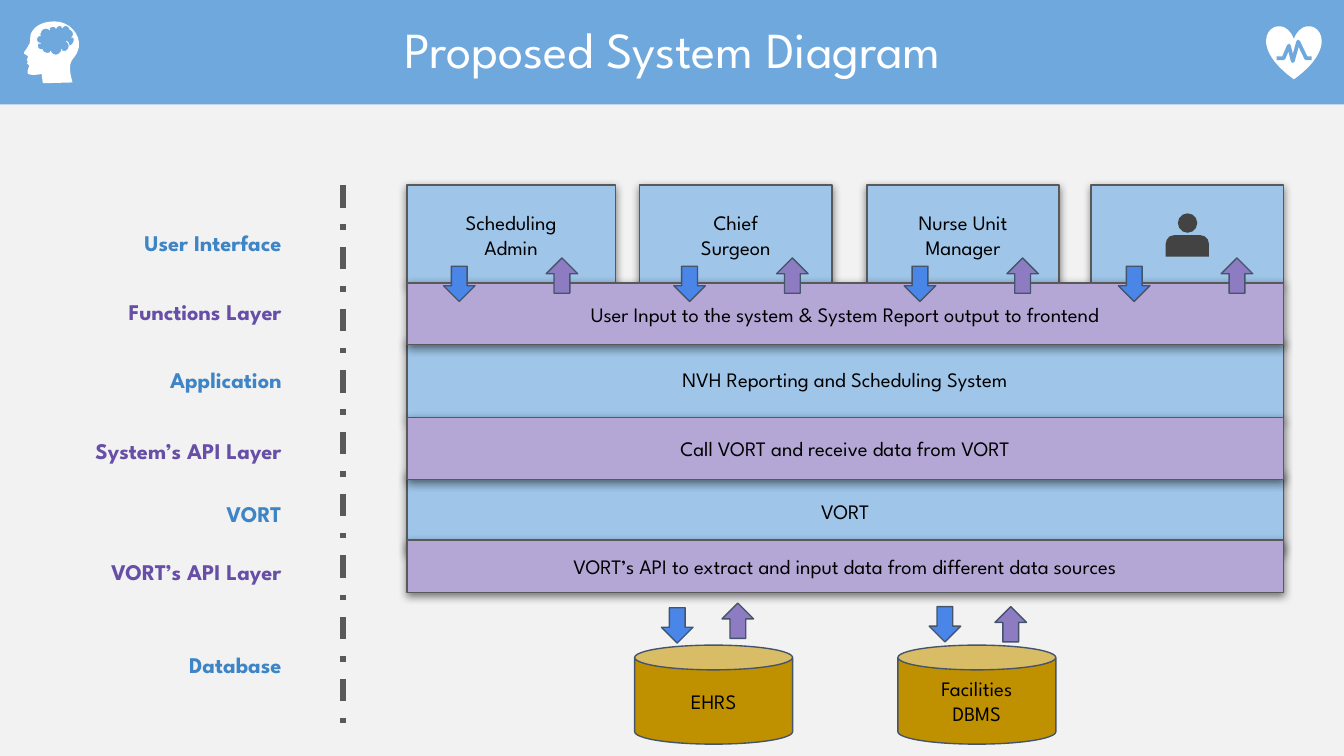
from dataclasses import dataclass

from lxml import etree
from pptx import Presentation
from pptx.dml.color import RGBColor
from pptx.enum import dml, shapes, text
from pptx.oxml import ns
from pptx.util import Pt

SHAPE = shapes.MSO_SHAPE


@dataclass(frozen=True)
class Theme:
    font: str = "League Spartan"
    title_size: float = 27
    label_size: float = 12
    body_size: float = 11
    background: str = "F2F2F2"
    header: str = "6FA8DC"
    white: str = "FFFFFF"
    black: str = "000000"
    blue_label: str = "3D85C6"
    purple_label: str = "674EA7"
    blue_box: str = "9FC5E8"
    purple_box: str = "B4A7D6"
    border: str = "595959"
    slate: str = "44546A"
    down: str = "4A86E8"
    up: str = "8E7CC3"
    store: str = "BF9000"
    person: str = "434343"


THEME = Theme()
STACK_LEFT, STACK_WIDTH = 218, 469.6
BOX_TOP, BOX_HEIGHT = 99.2, 53.3

# Label, colour, vertical centre
LABELS = [
    ("User Interface", THEME.blue_label, 128.9),
    ("Functions Layer", THEME.purple_label, 165.6),
    ("Application", THEME.blue_label, 202.3),
    ("System’s API Layer", THEME.purple_label, 240.5),
    ("VORT", THEME.blue_label, 274.3),
    ("VORT’s API Layer", THEME.purple_label, 305.3),
    ("Database", THEME.blue_label, 355),
]
# Left, width, lines
USERS = [
    (STACK_LEFT, 111.6, ["Scheduling", "Admin"]),
    (342.7, 103, ["Chief", "Surgeon"]),
    (464.4, 103, ["Nurse Unit Manager"]),
    (584.6, 103, []),
]
# Text, colour, top, height; the purple layers overlap the blue ones
BANDS = [
    ("NVH Reporting and Scheduling System", THEME.blue_box, 181.4, 43.2),
    ("VORT", THEME.blue_box, 252.5, 43.2),
    ("User Input to the system & System Report output to frontend",
     THEME.purple_box, 151.6, 33.1),
    ("Call VORT and receive data from VORT", THEME.purple_box, 223.7, 33.1),
    ("VORT’s API to extract and input data from different data sources",
     THEME.purple_box, 289.4, 28.1),
]
STORES = [(340, ["EHRS"]), (481, ["Facilities", "DBMS"])]
# Down arrow left and top, up arrow left and top
ARROW_PAIRS = [(x, 142.6, x + 55, 138.2) for x in (237.6, 361, 484.4, 599.2)] + [
    (354.4, 325.6, 386.8, 323.1),
    (497.8, 325, 533, 325),
]
# One point is a straight side, three points are a Bézier curve
HEAD_START = (29.5, 11.5)
HEAD_SIDES = [
    [(38.9, 11.5), (46.8, 22.3), (39.6, 31)],
    [(37.4, 33.1), (36.7, 36.7), (38.9, 44.2)],
    [(23, 44.6)], [(22.3, 39.6)],
    [(19.4, 40.3), (16.6, 40.3), (15.1, 39.6)],
    [(14.4, 38.9), (15.1, 36.7), (15.8, 35.3)],
    [(14.4, 33.8)], [(15.1, 33.1)], [(14.4, 32.4)], [(15.1, 30.2)], [(13, 28.8)],
    [(12.2, 28.1), (14.4, 26.6), (15.1, 24.5)],
    [(16.6, 23), (15.8, 21.6), (16.6, 18)],
    [(18.7, 13.7), (23, 11.5), HEAD_START],
]
PULSE = [(684, 31.3), (687.6, 31.3), (690.5, 24.5), (692.6, 32.8),
         (695.5, 22.3), (699.8, 31.3), (702.7, 31.3)]


def rgb(color):
    return RGBColor.from_string(color)


def paint(shape, fill=None, line=None, width=0.75):
    shape.shadow.inherit = False
    if fill:
        shape.fill.solid()
        shape.fill.fore_color.rgb = rgb(fill)
    else:
        shape.fill.background()
    if line:
        shape.line.color.rgb = rgb(line)
        shape.line.width = Pt(width)
    else:
        shape.line.fill.background()


def write(shape, lines, size, color, align=text.PP_ALIGN.CENTER,
          bold=False, spacing=1.0, inset=7.2):
    frame = shape.text_frame
    frame.word_wrap = True
    frame.auto_size = text.MSO_AUTO_SIZE.NONE
    frame.vertical_anchor = text.MSO_ANCHOR.MIDDLE
    frame.margin_left = frame.margin_right = Pt(inset)
    frame.margin_top = frame.margin_bottom = Pt(inset)
    for index, line in enumerate(lines):
        para = frame.add_paragraph() if index else frame.paragraphs[0]
        para.alignment = align
        para.line_spacing = spacing
        para.space_before = Pt(0)
        span = para.add_run()
        span.text = line
        span.font.name = THEME.font
        span.font.size = Pt(size)
        span.font.bold = bold
        span.font.color.rgb = rgb(color)


def add_preset(page, kind, left, top, width, height, fill, line=None, line_width=0.75):
    shape = page.shapes.add_shape(kind, Pt(left), Pt(top), Pt(width), Pt(height))
    paint(shape, fill, line, line_width)
    return shape


def add_box(page, left, top, width, height, fill, lines):
    box = add_preset(page, SHAPE.RECTANGLE, left, top, width, height, fill, THEME.border)
    effects = box.element.spPr.find(ns.qn("a:effectLst"))
    shadow = etree.SubElement(effects, ns.qn("a:outerShdw"), blurRad=str(Pt(4.5)),
                              dist=str(Pt(1.5)), dir="5400000", rotWithShape="0")
    color = etree.SubElement(shadow, ns.qn("a:srgbClr"), val=THEME.black)
    etree.SubElement(color, ns.qn("a:alpha"), val="50000")
    write(box, lines, THEME.body_size, THEME.black)


def add_label(page, label, color, middle):
    box = page.shapes.add_textbox(Pt(4), Pt(middle - 18), Pt(154), Pt(36))
    write(box, [label], THEME.label_size, color, text.PP_ALIGN.RIGHT, True, 1.15)


def add_arrow_pair(page, down_left, down_top, up_left, up_top):
    for left, top, fill, turn in ((down_left, down_top, THEME.down, 0),
                                  (up_left, up_top, THEME.up, 180)):
        arrow = add_preset(page, SHAPE.DOWN_ARROW, left, top, 16.9, 18.9, fill, THEME.slate)
        arrow.rotation = turn


def add_store(page, left, lines):
    can = add_preset(page, SHAPE.CAN, left, 345.6, 84.6, 53.1, THEME.store, THEME.slate)
    write(can, lines, THEME.body_size, THEME.black, inset=5)


def add_divider(page):
    line = page.shapes.add_connector(shapes.MSO_CONNECTOR.STRAIGHT,
                                     Pt(183.6), Pt(99.2), Pt(183.6), Pt(387.4))
    line.line.color.rgb = rgb(THEME.border)
    line.line.width = Pt(3)
    line.line.dash_style = dml.MSO_LINE.DASH_DOT
    etree.SubElement(line.element.spPr, ns.qn("a:effectLst"))


def trace(start, sides, steps=10):
    points = [start]
    for side in sides:
        if len(side) == 1:
            points += side
            continue
        corners = [points[-1], *side]
        for step in range(1, steps + 1):
            t = step / steps
            weights = ((1 - t) ** 3, 3 * t * (1 - t) ** 2, 3 * t * t * (1 - t), t ** 3)
            points.append(tuple(sum(w * c[axis] for w, c in zip(weights, corners))
                                for axis in (0, 1)))
    return points


def add_outline(page, points, close):
    (x, y), *rest = [(Pt(x), Pt(y)) for x, y in points]
    builder = page.shapes.build_freeform(x, y)
    builder.add_line_segments(rest, close=close)
    return builder.convert_to_shape()


def add_header(page):
    add_preset(page, SHAPE.RECTANGLE, 0, 0, 720, 56, THEME.header)
    title = page.shapes.title
    title.left, title.top, title.width, title.height = Pt(18.7), Pt(6.5), Pt(683.3), Pt(42.5)
    write(title, ["Proposed System Diagram"], THEME.title_size, THEME.white,
          spacing=0.9, inset=4)
    title.element.getparent().append(title.element)  # bring in front of the bar
    # Head with brain
    paint(add_outline(page, trace(HEAD_START, HEAD_SIDES), True), THEME.white)
    add_preset(page, SHAPE.CLOUD, 19.6, 13.6, 20.2, 16, THEME.header, THEME.white, 0.5)
    # Heart with pulse
    add_preset(page, SHAPE.HEART, 678.4, 13.7, 29.6, 28.8, THEME.white)
    paint(add_outline(page, PULSE, False), line=THEME.header, width=2)


def add_person(page):
    add_preset(page, SHAPE.OVAL, 631, 114.3, 10.4, 10.4, THEME.person)
    body = add_preset(page, SHAPE.ROUND_2_SAME_RECTANGLE, 624.5, 126, 23.2, 11.5, THEME.person)
    body.adjustments[0] = 0.4


def main():
    deck = Presentation()
    deck.slide_width, deck.slide_height = Pt(720), Pt(405)
    page = deck.slides.add_slide(deck.slide_layouts[5])
    page.background.fill.solid()
    page.background.fill.fore_color.rgb = rgb(THEME.background)

    add_header(page)

    # Layer names
    add_divider(page)
    for label in LABELS:
        add_label(page, *label)

    # Layer stack
    for left, width, lines in USERS:
        add_box(page, left, BOX_TOP, width, BOX_HEIGHT, THEME.blue_box, lines)
    for band, fill, top, height in BANDS:
        add_box(page, STACK_LEFT, top, STACK_WIDTH, height, fill, [band])
    add_person(page)

    # Databases and data flow
    for store in STORES:
        add_store(page, *store)
    for pair in ARROW_PAIRS:
        add_arrow_pair(page, *pair)

    deck.save("out.pptx")


if __name__ == "__main__":
    main()
